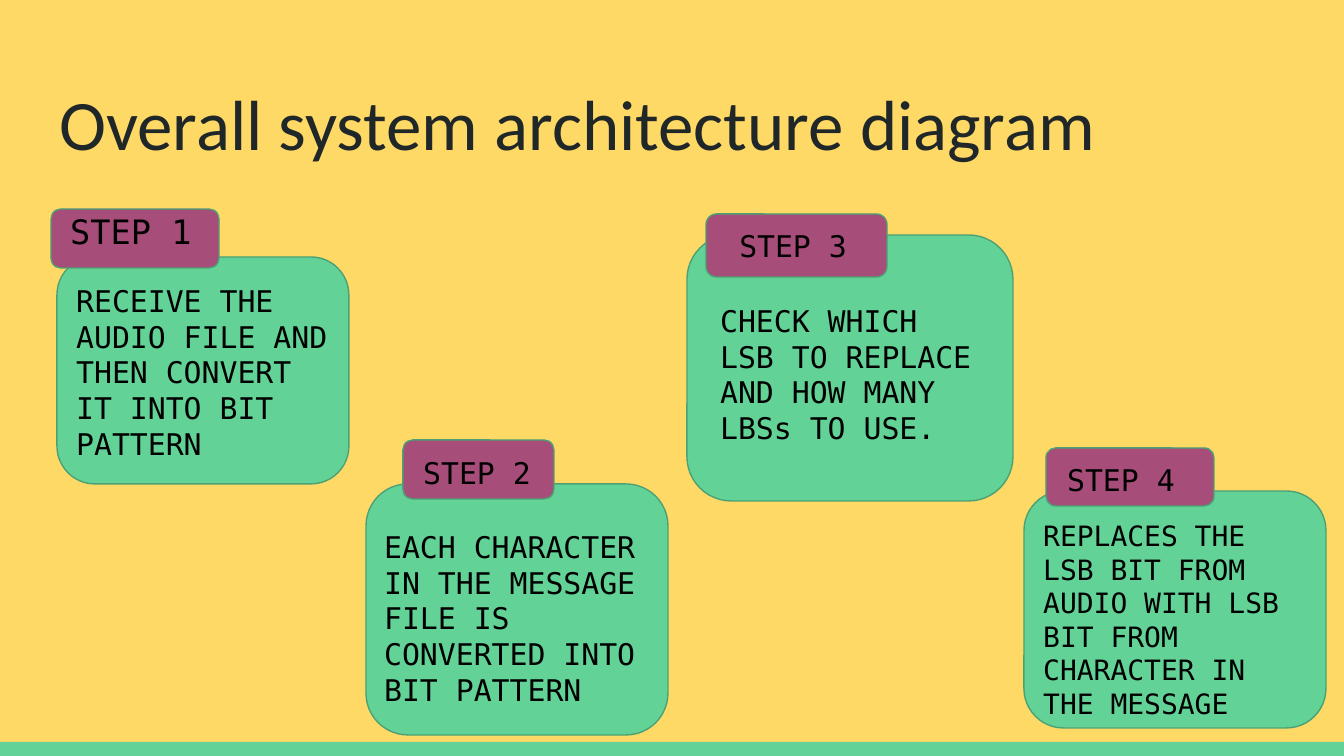
from dataclasses import dataclass
from pptx import Presentation
from pptx.dml.color import RGBColor as Rgb
from pptx.enum.shapes import MSO_SHAPE as Form
from pptx.enum.text import MSO_ANCHOR as Anchor
from pptx.util import Inches, Pt

SCALE = 914400 / 134.4


@dataclass(frozen=True)
class Theme:
    """Colours, fonts and type sizes of the slide."""
    page: str = "FFD966"
    green: str = "63D297"
    plum: str = "A64D79"
    edge: str = "4BA173"
    ink: str = "202729"
    black: str = "000000"
    head: str = "Calibri"
    mono: str = "DejaVu Sans Mono"
    title: int = 38
    large: int = 18
    body: int = 16
    small: int = 15


THEME = Theme()


def place(box):
    """Turn a box in pixels into EMU."""
    return [round(v * SCALE) for v in box]


def inside(box, part):
    """Shift a part by the corner of its box."""
    return box[0] + part[0], box[1] + part[1], part[2], part[3]


def add_block(shapes, box, fill, form=Form.ROUNDED_RECTANGLE, edge=None):
    """Draw a filled shape with an optional outline."""
    block = shapes.add_shape(form, *place(box))
    block.shadow.inherit = False
    block.fill.solid()
    block.fill.fore_color.rgb = Rgb.from_string(fill)
    if edge:
        block.line.color.rgb = Rgb.from_string(edge)
        block.line.width = Pt(0.75)
    else:
        block.line.fill.background()


def add_text(shapes, box, words, size, font=THEME.mono, ink=THEME.black, gap=None):
    """Write one wrapped paragraph in a box."""
    frame = shapes.add_textbox(*place(box)).text_frame
    frame.word_wrap = True
    frame.vertical_anchor = Anchor.TOP
    frame.margin_left = frame.margin_right = Inches(0.1)
    frame.margin_top = frame.margin_bottom = Inches(0.1)
    frame.text = words
    para = frame.paragraphs[0]
    if gap:
        para.line_spacing = gap
    face = para.runs[0].font
    face.size, face.name = Pt(size), font
    face.color.rgb = Rgb.from_string(ink)


def add_step(slide, box, step):
    """Group a green card, its plum tag and their texts."""
    shapes = slide.shapes.add_group_shape().shapes
    add_block(shapes, box, THEME.green, edge=THEME.edge)
    add_block(shapes, inside(box, step["tag"]), THEME.plum, edge=THEME.edge)
    add_text(shapes, inside(box, step["area"]), step["words"], step.get("size", THEME.body))
    add_text(shapes, inside(box, step["label"]), step["name"],
             step.get("large", THEME.body), gap=step.get("gap"))


def add_frame(slide, box):
    """Paint the page, its foot strip and the title."""
    slide.background.fill.solid()
    slide.background.fill.fore_color.rgb = Rgb.from_string(THEME.page)
    add_block(slide.shapes, inside(box, (0, box[3] - 14, box[2], 14)), THEME.green, Form.RECTANGLE)
    add_text(slide.shapes, inside(box, (46, 66, 1253, 109)),
             "Overall system architecture diagram", THEME.title, THEME.head, THEME.ink)


STEPS = [
    ((57, 257, 292, 227), dict(
        name="STEP 1", words="RECEIVE THE AUDIO FILE AND THEN CONVERT IT INTO BIT PATTERN",
        tag=(-6, -48, 168, 59), label=(0, -48, 168, 58), area=(6, 12, 278, 160),
        large=THEME.large, gap=0.7)),
    ((366, 484, 302, 251), dict(
        name="STEP 2", words="EACH CHARACTER IN THE MESSAGE FILE IS CONVERTED INTO BIT PATTERN",
        tag=(37, -44, 151, 59), label=(44, -43, 138, 40), area=(5, 31, 292, 188))),
    ((687, 235, 326, 266), dict(
        name="STEP 3", words="CHECK WHICH LSB TO REPLACE AND HOW MANY LBSs TO USE.",
        tag=(19, -21, 181, 63), label=(39, -21, 161, 60), area=(20, 54, 285, 199))),
    ((1024, 491, 302, 237), dict(
        name="STEP 4", words="REPLACES THE LSB BIT FROM AUDIO WITH LSB BIT FROM CHARACTER IN THE MESSAGE",
        tag=(22, -43, 168, 58), label=(30, -43, 151, 58), area=(6, 14, 292, 188),
        size=THEME.small)),
]


def main():
    """Build and save the slide."""
    deck = Presentation()
    page = (0, 0, 1344, 756)
    deck.slide_width, deck.slide_height = place(page)[2:]
    slide = deck.slides.add_slide(deck.slide_layouts[6])
    add_frame(slide, page)
    for box, step in STEPS:
        add_step(slide, box, step)
    deck.save("out.pptx")


main()
